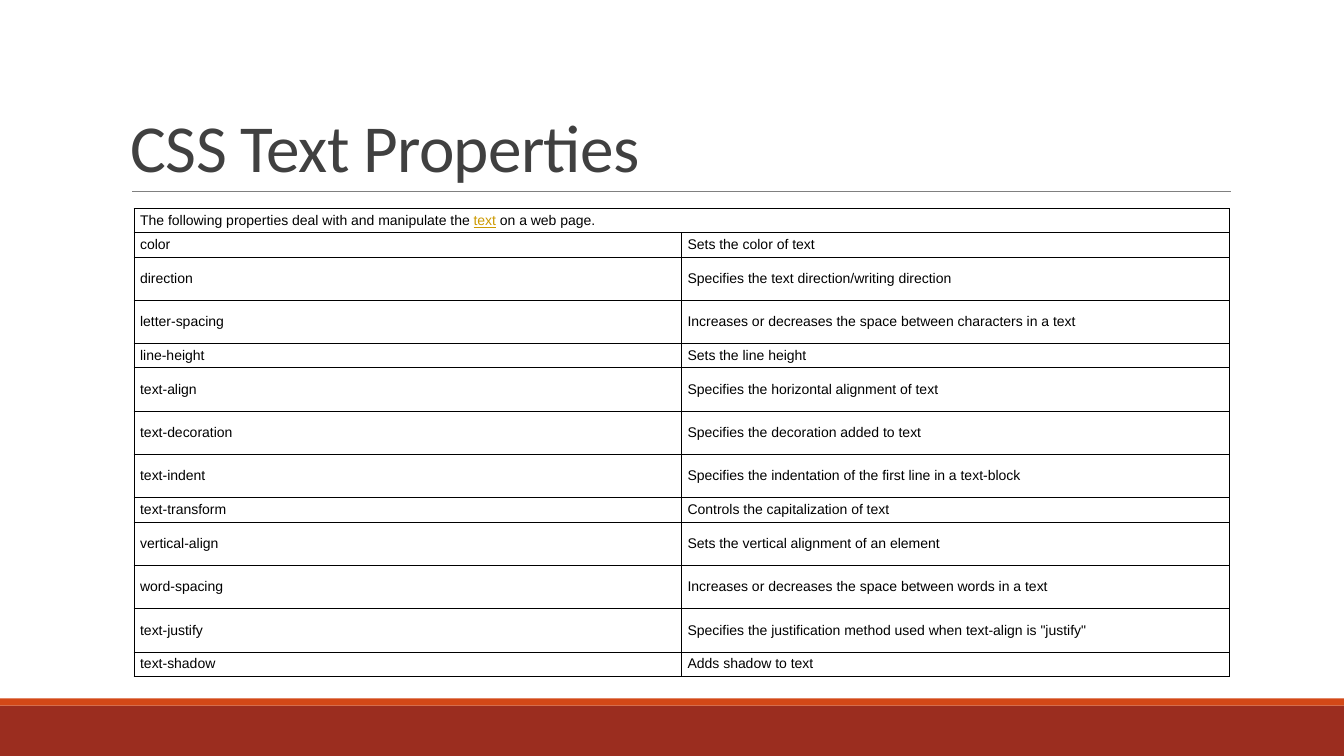
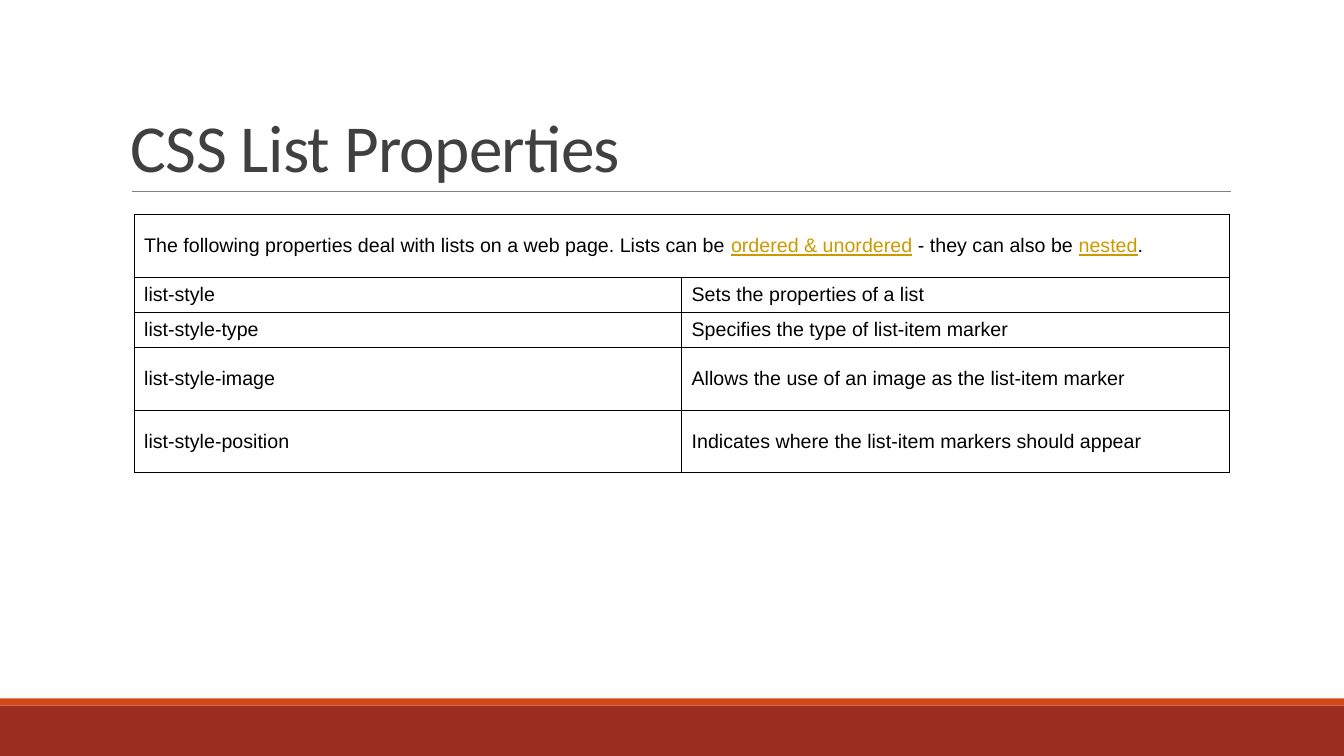
from lxml import etree
from pptx import Presentation
from pptx.dml.color import RGBColor
from pptx.enum.shapes import MSO_CONNECTOR, MSO_SHAPE
from pptx.enum.text import MSO_ANCHOR
from pptx.oxml.ns import qn
from pptx.util import Inches, Pt

RECTANGLE = MSO_SHAPE.RECTANGLE
STRAIGHT = MSO_CONNECTOR.STRAIGHT
MIDDLE = MSO_ANCHOR.MIDDLE
BOTTOM = MSO_ANCHOR.BOTTOM
BLANK_LAYOUT = 6
SLIDE_WIDTH, SLIDE_HEIGHT = 13.33, 7.5
NBSP = "\u00a0"


def color(value):
    """Turn a hex string into a colour."""
    return RGBColor.from_string(value)


class Deck:
    """Hold the shared style and the slide being built."""

    BAND, ACCENT, RULE = "9B2D1F", "D34817", "808080"
    TITLE, TEXT, LINK, PAPER = "404040", "000000", "CC9900", "FFFFFF"
    TITLE_FONT, BODY_FONT = "Calibri", "Arial"
    TABLE_LEFT, COLUMN_WIDTH = 1.33, 5.43

    def __init__(self):
        """Start an empty widescreen presentation."""
        self.presentation = Presentation()
        self.presentation.slide_width = Inches(SLIDE_WIDTH)
        self.presentation.slide_height = Inches(SLIDE_HEIGHT)
        self.slide = None

    def add_slide(self, title):
        """Add a slide with the footer bands, title rule and title."""
        layout = self.presentation.slide_layouts[BLANK_LAYOUT]
        self.slide = self.presentation.slides.add_slide(layout)
        self.add_band(7, 0.5, self.BAND)
        self.add_band(6.93, 0.07, self.ACCENT)
        self.add_rule(1.31, 12.21, 1.9)
        self.add_title(title)

    def add_band(self, top, height, fill):
        """Draw a full-width band."""
        shape = self.slide.shapes.add_shape(
            RECTANGLE, 0, Inches(top), Inches(SLIDE_WIDTH), Inches(height))
        shape.shadow.inherit = False
        shape.fill.solid()
        shape.fill.fore_color.rgb = color(fill)
        shape.line.fill.background()

    def add_rule(self, left, right, top):
        """Draw the thin line under the title."""
        rule = self.slide.shapes.add_connector(
            STRAIGHT, Inches(left), Inches(top), Inches(right), Inches(top))
        rule.line.color.rgb = color(self.RULE)
        rule.line.width = Pt(0.5)
        etree.SubElement(rule._element.spPr, qn("a:effectLst"))

    def add_title(self, text):
        """Write the title just above the rule."""
        box = self.slide.shapes.add_textbox(
            Inches(1.2), Inches(0.31), Inches(11), Inches(1.59))
        frame = box.text_frame
        frame.word_wrap = True
        frame.vertical_anchor = BOTTOM
        paragraph = frame.paragraphs[0]
        paragraph.line_spacing = 0.85
        run = self.add_run(paragraph, text, self.TITLE_FONT, 48, self.TITLE)
        run.font._element.set("spc", "-50")

    def add_run(self, paragraph, text, font, size, ink):
        """Append one styled run to a paragraph."""
        run = paragraph.add_run()
        run.text = text
        run.font.name = font
        run.font.size = Pt(size)
        run.font.color.rgb = color(ink)
        return run

    def add_table(self, top, intro, rows, heights, size, margins):
        """Add a property table: merged intro row, then name and meaning."""
        shape = self.slide.shapes.add_table(
            len(rows) + 1, 2, Inches(self.TABLE_LEFT), Inches(top),
            Inches(2 * self.COLUMN_WIDTH), Inches(sum(heights)))
        table = shape.table
        table.first_row = False
        table.horz_banding = False
        for column in table.columns:
            column.width = Inches(self.COLUMN_WIDTH)
        for row, height in zip(table.rows, heights):
            row.height = Inches(height)
        for cell in table.iter_cells():
            self.style_cell(cell, margins)
        table.cell(0, 0).merge(table.cell(0, 1))
        self.fill_cell(table.cell(0, 0), intro, size)
        for row_index, texts in enumerate(rows, start=1):
            for column_index, text in enumerate(texts):
                cell = table.cell(row_index, column_index)
                self.fill_cell(cell, [(text, False)], size)

    def style_cell(self, cell, margins):
        """Set the borders, fill, anchor and margins of a cell."""
        properties = cell._tc.get_or_add_tcPr()
        for side in ("a:lnL", "a:lnR", "a:lnT", "a:lnB"):
            border = etree.SubElement(properties, qn(side), w=str(Pt(0.75)))
            fill = etree.SubElement(border, qn("a:solidFill"))
            etree.SubElement(fill, qn("a:srgbClr"), val=self.TEXT)
        cell.fill.solid()
        cell.fill.fore_color.rgb = color(self.PAPER)
        cell.vertical_anchor = MIDDLE
        horizontal, vertical = margins
        cell.margin_left = cell.margin_right = Inches(horizontal)
        cell.margin_top = cell.margin_bottom = Inches(vertical)

    def fill_cell(self, cell, pieces, size):
        """Write (text, is_link) pieces into a cell."""
        paragraph = cell.text_frame.paragraphs[0]
        for text, is_link in pieces:
            ink = self.LINK if is_link else self.TEXT
            run = self.add_run(paragraph, text, self.BODY_FONT, size, ink)
            run.font.underline = is_link


def row_heights(pattern, short, tall):
    """Turn a pattern of S (short) and T (tall) into row heights."""
    return [tall if letter == "T" else short for letter in pattern]


TEXT_INTRO = [
    ("The following properties deal with and manipulate the" + NBSP, False),
    ("text", True),
    (NBSP + "on a web page.", False),
]
TEXT_PROPERTIES = [
    ("color", "Sets the color of text"),
    ("direction", "Specifies the text direction/writing direction"),
    ("letter-spacing",
     "Increases or decreases the space between characters in a text"),
    ("line-height", "Sets the line height"),
    ("text-align", "Specifies the horizontal alignment of text"),
    ("text-decoration", "Specifies the decoration added to text"),
    ("text-indent",
     "Specifies the indentation of the first line in a text-block"),
    ("text-transform", "Controls the capitalization of text"),
    ("vertical-align", "Sets the vertical alignment of an element"),
    ("word-spacing",
     "Increases or decreases the space between words in a text"),
    ("text-justify",
     'Specifies the justification method used when text-align is "justify"'),
    ("text-shadow", "Adds shadow to text"),
]
LIST_INTRO = [
    ("The following properties deal with lists on a web page. "
     "Lists can be" + NBSP, False),
    ("ordered & unordered", True),
    (NBSP + "- they can also be" + NBSP, False),
    ("nested", True),
    (".", False),
]
LIST_PROPERTIES = [
    ("list-style", "Sets the properties of a list"),
    ("list-style-type", "Specifies the type of list-item marker"),
    ("list-style-image", "Allows the use of an image as the list-item marker"),
    ("list-style-position",
     "Indicates where the list-item markers should appear"),
]

deck = Deck()
deck.add_slide("CSS Text Properties")
deck.add_table(2.07, TEXT_INTRO, TEXT_PROPERTIES,
               row_heights("SSTTSTTTSTTTS", 0.24, 0.43), 10, (0.06, 0.03))
deck.add_slide("CSS List Properties")
deck.add_table(2.13, LIST_INTRO, LIST_PROPERTIES,
               row_heights("TSSTT", 0.35, 0.62), 14, (0.1, 0.05))
deck.presentation.save("out.pptx")
